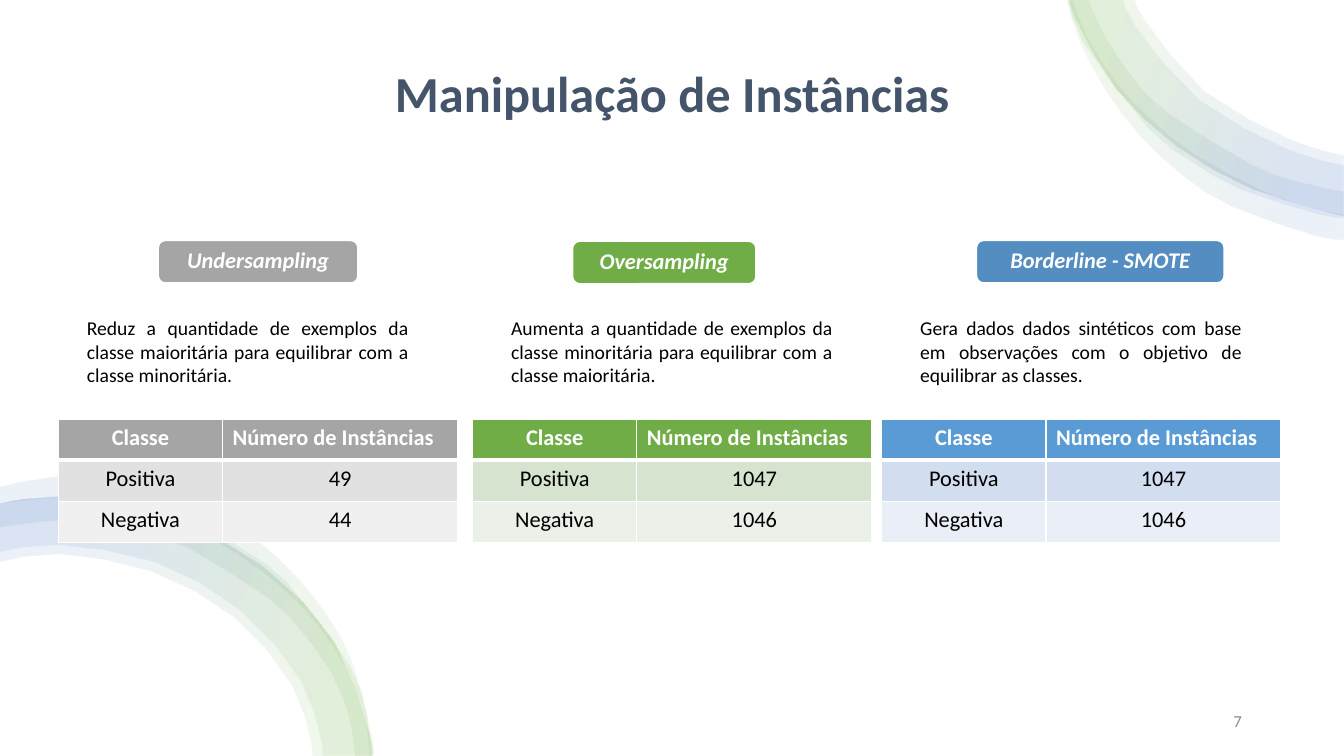
import pptx
import pptx.dml.color
import pptx.enum.shapes
import pptx.enum.text
import pptx.oxml
import pptx.oxml.ns
import pptx.util
from lxml import etree

Cm = pptx.util.Cm
Pt = pptx.util.Pt
RGB = pptx.dml.color.RGBColor.from_string
ALIGN = pptx.enum.text.PP_ALIGN
ANCHOR = pptx.enum.text.MSO_ANCHOR
SHAPE = pptx.enum.shapes.MSO_SHAPE
qn = pptx.oxml.ns.qn

COLORS = {
    "white": "FFFFFF", "black": "000000", "title": "44546A", "number": "8C8C8C",
    "ribbon_green": "70AD47", "ribbon_blue": "4472C4",
}
HUNDREDTH_INCH = 0.0254


def smooth(points, steps=2):
    padded = [points[0], *points, points[-1]]
    curve = []
    for a, b, c, d in zip(padded, padded[1:], padded[2:], padded[3:]):
        for step in range(steps):
            t = step / steps
            curve.append([
                (2 * q + (r - p) * t + (2 * p - 5 * q + 4 * r - s) * t ** 2
                 + (3 * q - p - 3 * r + s) * t ** 3) / 2
                for p, q, r, s in zip(a, b, c, d)
            ])
    return curve + [points[-1]]


def write(sp, text, size, color, align, anchor=ANCHOR.TOP, bold=False, italic=False):
    tf = sp.text_frame
    tf.word_wrap = True
    tf.vertical_anchor = anchor
    p = tf.paragraphs[0]
    p.text = text
    p.alignment = align
    p.font.name = "Calibri"
    p.font.size = Pt(size)
    p.font.bold = bold
    p.font.italic = italic
    p.font.color.rgb = RGB(color)
    return p


prs = pptx.Presentation()
prs.slide_width = Cm(33.87)
prs.slide_height = Cm(19.05)
slide = prs.slides.add_slide(prs.slide_layouts[6])
shapes = slide.shapes

backdrop = shapes.add_shape(SHAPE.RECTANGLE, 0, 0, prs.slide_width, prs.slide_height)
backdrop.shadow.inherit = False
backdrop.fill.solid()
backdrop.fill.fore_color.rgb = RGB(COLORS["white"])
backdrop.line.fill.background()

top_edge = [(1061, 0), (1067, 19), (1107, 88), (1167, 145), (1241, 187), (1323, 212), (1333, 213)]
bottom_edge = [(368, 750), (366, 729), (331, 637), (260, 562), (164, 512), (57, 494), (0, 500)]
top_ribbons = [
    ([(1058, 0), (1071, 41), (1097, 90), (1131, 135), (1173, 174), (1222, 205), (1305, 234), (1333, 238)],
     [(1333, 213), (1311, 209), (1260, 193), (1188, 155), (1145, 122), (1108, 83), (1079, 38), (1064, 0)]),
    (top_edge, [(1333, 154), (1283, 140), (1195, 91), (1136, 21), (1126, 0)]),
    ([(1060, 0), (1075, 43), (1140, 128), (1183, 161), (1231, 188), (1310, 213), (1333, 216)],
     [(1333, 190), (1291, 181), (1243, 164), (1157, 111), (1122, 75), (1095, 34), (1080, 0)]),
    (top_edge, [(1333, 164), (1279, 149), (1189, 99), (1126, 26), (1115, 0)]),
]
bottom_ribbons = [
    (bottom_edge, [(0, 558), (57, 550), (149, 567), (232, 613), (289, 680), (308, 737), (309, 750)]),
    (bottom_edge, [(0, 548), (57, 541), (153, 558), (238, 606), (298, 676), (318, 736), (319, 750)]),
    ([(368, 750), (363, 706), (346, 659), (285, 578), (244, 547), (198, 522), (97, 494), (44, 493), (0, 499)],
     [(0, 523), (46, 517), (94, 518), (142, 528), (187, 544), (268, 595), (301, 629), (328, 667),
      (346, 710), (352, 750)]),
    ([(369, 750), (369, 736), (350, 661), (326, 614), (293, 572), (253, 535), (207, 506), (100, 474),
      (43, 475), (0, 483)],
     [(0, 500), (45, 495), (97, 497), (147, 509), (195, 527), (239, 553), (280, 584), (315, 621),
      (343, 664), (361, 711), (366, 750)]),
]
stops = [(16, "ribbon_green"), (85, "ribbon_blue")]

for ribbons, angle in ((top_ribbons, 340), (bottom_ribbons, 160)):
    for outer, inner in ribbons:
        outline = [(Cm(x * HUNDREDTH_INCH), Cm(y * HUNDREDTH_INCH))
                   for x, y in smooth(outer) + smooth(inner)]
        builder = shapes.build_freeform(*outline[0])
        builder.add_line_segments(outline[1:], close=True)
        sp = builder.convert_to_shape()
        sp.shadow.inherit = False
        sp.line.fill.background()
        sp.fill.gradient()
        sp.fill.gradient_angle = angle
        gs_list = sp.element.spPr.find(qn("a:gradFill")).find(qn("a:gsLst"))
        for gs in list(gs_list):
            gs_list.remove(gs)
        for position, name in stops:
            gs = etree.SubElement(gs_list, qn("a:gs"), pos=str(position * 1000))
            color = etree.SubElement(gs, qn("a:srgbClr"), val=COLORS[name])
            etree.SubElement(color, qn("a:alpha"), val="10000")

title = shapes.add_textbox(Cm(2.16), Cm(1.07), Cm(29.57), Cm(2.16))
p = write(title, "Manipulação de Instâncias", 36, COLORS["title"], ALIGN.CENTER, ANCHOR.BOTTOM, bold=True)
p.line_spacing = 0.9

number = shapes.add_textbox(Cm(23.93), Cm(17.65), Cm(7.62), Cm(1.02))
write(number, "7", 12, COLORS["number"], ALIGN.RIGHT, ANCHOR.MIDDLE)

methods = [
    dict(name="Undersampling", pill=(3.99, 6.06, 5.03), text_left=1.94, table_left=1.47,
         fills=("A5A5A5", "A5A5A5", "E1E1E1", "F0F0F0"), counts=("49", "44"),
         text="Reduz a quantidade de exemplos da classe maioritária para equilibrar com a classe minoritária."),
    dict(name="Oversampling", pill=(14.43, 6.08, 4.62), text_left=12.63, table_left=11.91,
         fills=("70AD47", "70AD47", "D5E3CF", "EBF1E9"), counts=("1047", "1046"),
         text="Aumenta a quantidade de exemplos da classe minoritária para equilibrar com a classe maioritária."),
    dict(name="Borderline - SMOTE", pill=(24.61, 6.06, 6.24), text_left=22.94, table_left=22.22,
         fills=("538DC1", "5B9BD5", "D2DEEF", "EAEFF7"), counts=("1047", "1046"),
         text="Gera dados dados sintéticos com base em observações com o objetivo de equilibrar as classes."),
]

for method in methods:
    pill_fill, *row_fills = method["fills"]
    left, top, width = method["pill"]
    pill = shapes.add_shape(SHAPE.ROUNDED_RECTANGLE, Cm(left), Cm(top), Cm(width), Cm(1.07))
    pill.shadow.inherit = False
    pill.fill.solid()
    pill.fill.fore_color.rgb = RGB(pill_fill)
    pill.line.color.rgb = RGB(COLORS["white"])
    pill.line.width = Pt(1)
    p = write(pill, method["name"], 16, COLORS["white"], ALIGN.CENTER, ANCHOR.MIDDLE, bold=True, italic=True)
    p.line_spacing = 0.9
    tf = pill.text_frame
    tf.margin_left = tf.margin_right = tf.margin_top = tf.margin_bottom = Cm(0.18)

    description = shapes.add_textbox(Cm(method["text_left"]), Cm(7.84), Cm(8.61), Cm(2.06))
    write(description, method["text"], 14, COLORS["black"], ALIGN.JUSTIFY)

    table = shapes.add_table(3, 2, Cm(method["table_left"]), Cm(10.57), Cm(10.06), Cm(3.09)).table
    table.columns[0].width = Cm(4.14)
    table.columns[1].width = Cm(5.92)
    positive, negative = method["counts"]
    rows = [("Classe", "Número de Instâncias"), ("Positiva", positive), ("Negativa", negative)]
    for i, row in enumerate(rows):
        table.rows[i].height = Cm(1.03)
        for j, text in enumerate(row):
            cell = table.cell(i, j)
            header = i == 0
            write(cell, text, 16, COLORS["white" if header else "black"],
                  ALIGN.LEFT if header and j == 1 else ALIGN.CENTER, bold=header)
            tc_pr = cell._tc.get_or_add_tcPr()
            for side in ("L", "R", "T", "B"):
                thick = (i, side) in ((0, "B"), (1, "T"))
                ln = etree.SubElement(tc_pr, qn(f"a:ln{side}"), w=str(Pt(3 if thick else 1)))
                solid = etree.SubElement(ln, qn("a:solidFill"))
                etree.SubElement(solid, qn("a:srgbClr"), val=COLORS["white"])
            cell.fill.solid()
            cell.fill.fore_color.rgb = RGB(row_fills[i])

prs.save("out.pptx")
